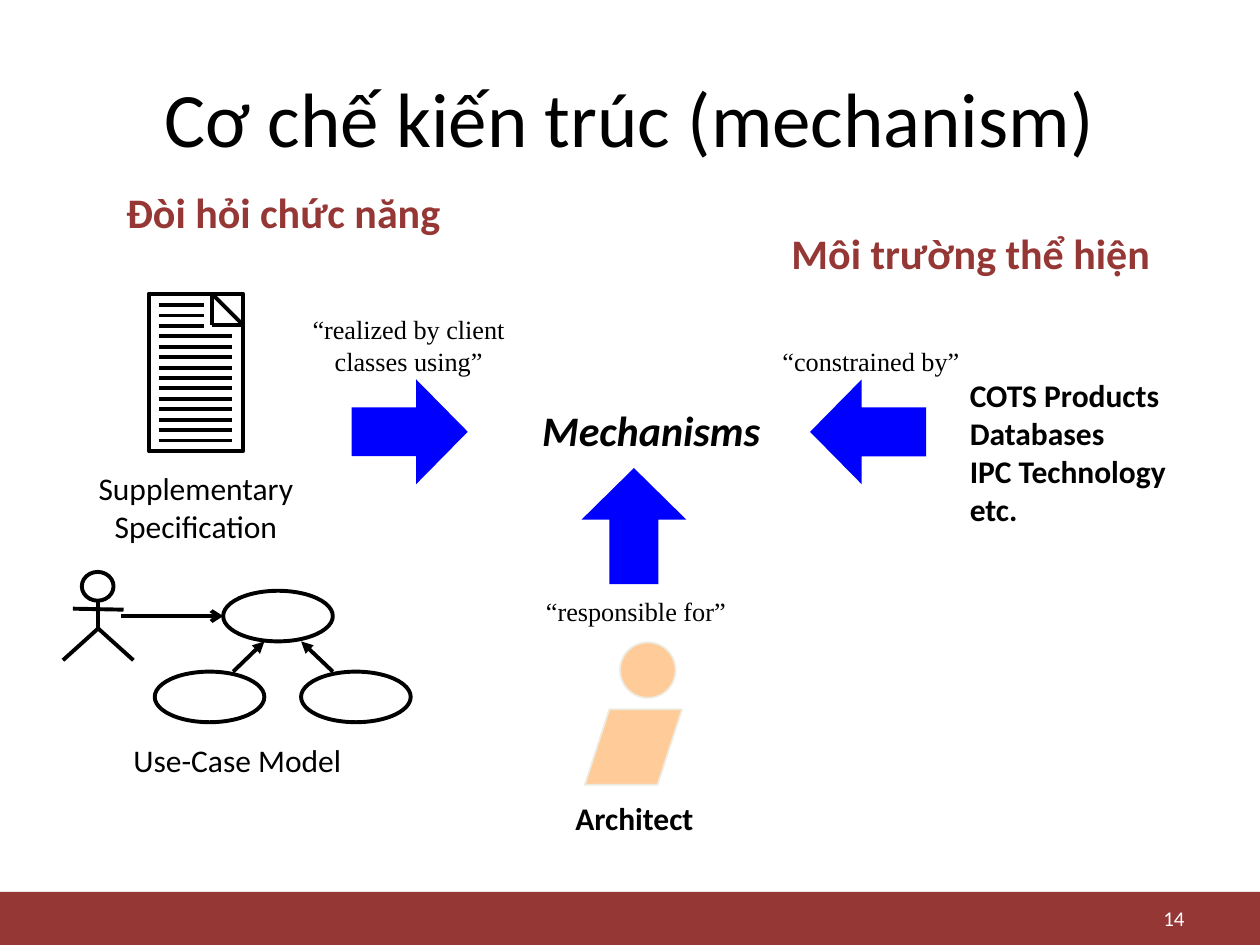
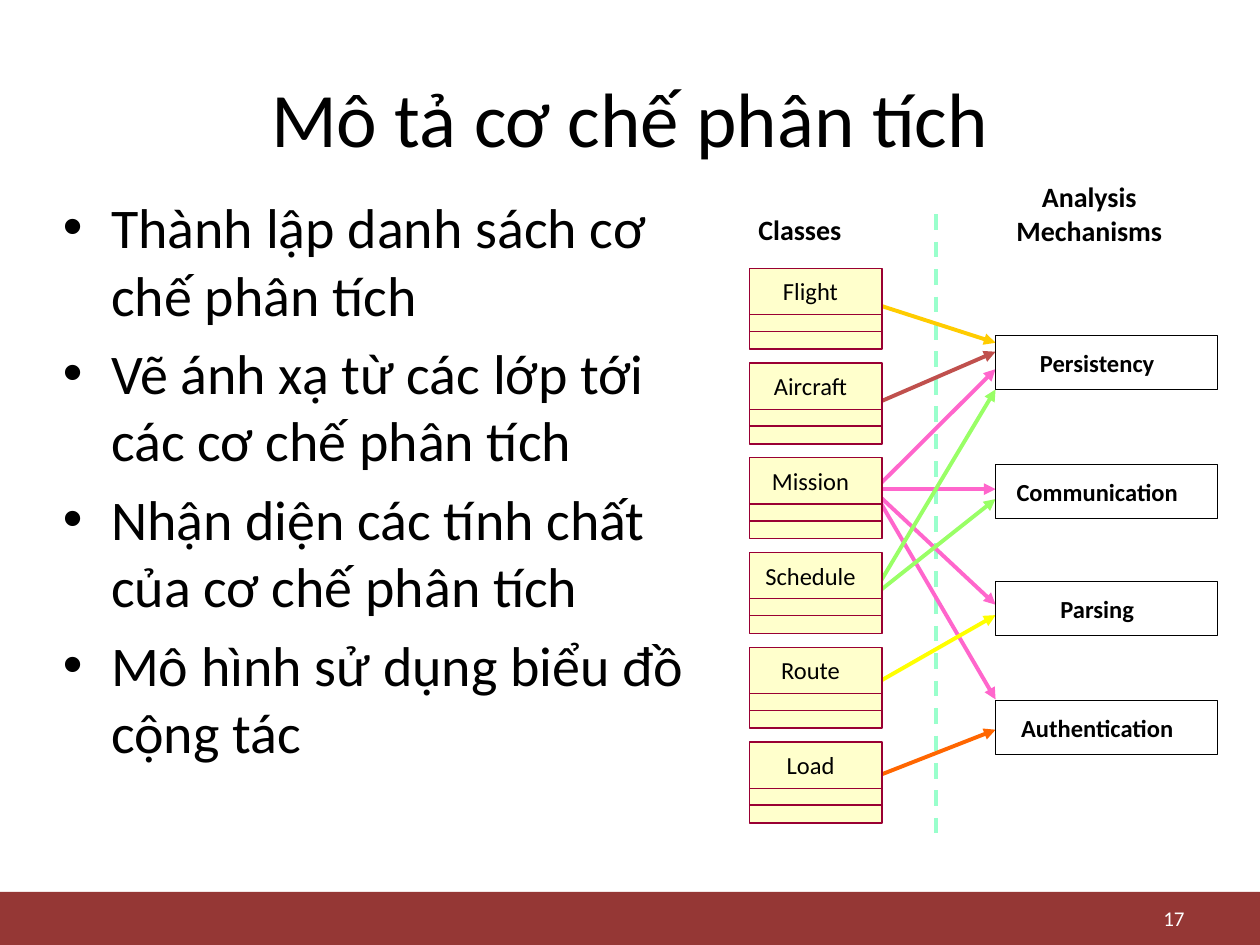
from itertools import combinations

from lxml import etree
from pptx import Presentation
from pptx.dml.color import RGBColor
from pptx.enum import dml, shapes, text
from pptx.oxml import ns
from pptx.util import Cm, Pt

COLOURS = {
    "brand": "953735", "black": "000000", "white": "FFFFFF",
    "arrow": "0000FF", "skin": "FFCC99", "skin_edge": "EEECE1",
    "class": "FFFFCC", "class_edge": "990033", "divider": "99FFCC",
    "amber": "FFCC00", "red": "C0504D", "pink": "FF66CC",
    "green": "99FF66", "yellow": "FFFF00", "orange": "FF6600",
}
FONT = "Calibri"
QUOTE_FONT = "Times New Roman"
LINE_WIDTH = 2.25
THIN = 0.75
CAPTION_INSET = (0.1, 0.13)
KIND = shapes.MSO_SHAPE
ALIGN = text.PP_ALIGN
TITLE_ONLY = 5

# Class name -> its links: (start y, end y, colour), in cm
CLASS_LINKS = {
    "Flight": [(6.12, 6.91, "amber")],
    "Aircraft": [(8.15, 7.09, "red")],
    "Mission": [(9.91, 14.1, "pink"), (9.88, 7.44, "pink"),
                (9.86, 9.86, "pink"), (9.9, 12.19, "pink")],
    "Schedule": [(12.0, 10.06, "green"), (11.94, 7.85, "green")],
    "Route": [(13.8, 12.4, "yellow")],
    "Load": [(15.67, 14.71, "orange")],
}
MECHANISM_TOPS = {"Persistency": 6.76, "Communication": 9.37,
                  "Parsing": 11.73, "Authentication": 14.12}
STEPS = [
    "Thành lập danh sách cơ chế phân tích",
    "Vẽ ánh xạ từ các lớp tới các cơ chế phân tích",
    "Nhận diện các tính chất của cơ chế phân tích",
    "Mô hình sử dụng biểu đồ cộng tác",
]


def rgb(name):
    return RGBColor.from_string(COLOURS[name])


def set_font(paragraph, size, colour="black", bold=False, italic=False, name=FONT):
    font = paragraph.font
    font.name, font.size, font.bold, font.italic = name, Pt(size), bold, italic
    font.color.rgb = rgb(colour)


def paint(shape, fill=None, line=None, width=LINE_WIDTH):
    shape.shadow.inherit = False
    if fill:
        shape.fill.solid()
        shape.fill.fore_color.rgb = rgb(fill)
    else:
        shape.fill.background()
    if line:
        shape.line.color.rgb = rgb(line)
        shape.line.width = Pt(width)
    else:
        shape.line.fill.background()


def add_box(parent, kind, at, fill=None, line=None, width=LINE_WIDTH, adjust=()):
    box = parent.add_shape(kind, *map(Cm, at))
    for index, value in enumerate(adjust):
        box.adjustments[index] = value
    paint(box, fill, line, width)
    return box


def add_line(parent, start, end, colour="black", width=LINE_WIDTH, head=None):
    line = parent.add_connector(shapes.MSO_CONNECTOR.STRAIGHT, *map(Cm, start + end))
    line.line.color.rgb = rgb(colour)
    line.line.width = Pt(width)
    if head:
        etree.SubElement(line.line._get_or_add_ln(), ns.qn("a:tailEnd"), type=head)
    etree.SubElement(line.element.spPr, ns.qn("a:effectLst"))
    return line


def add_text(parent, at, lines, size, align=ALIGN.CENTER, inset=(0.3, 0.15), **font):
    box = parent.add_textbox(*map(Cm, at))
    frame = box.text_frame
    frame.word_wrap = True
    frame.margin_left = frame.margin_right = Cm(inset[0])
    frame.margin_top = frame.margin_bottom = Cm(inset[1])
    for index, line in enumerate(lines):
        paragraph = frame.add_paragraph() if index else frame.paragraphs[0]
        paragraph.text = line
        paragraph.alignment = align
        set_font(paragraph, size, **font)
    return box


def add_bullet(paragraph, indent):
    properties = paragraph._p.get_or_add_pPr()
    properties.set("marL", str(Cm(indent)))
    properties.set("indent", str(-Cm(indent)))
    for tag, key, value in (("buFont", "typeface", "Arial"), ("buChar", "char", "•")):
        mark = etree.Element(ns.qn(f"a:{tag}"), {key: value})
        properties.insert_element_before(mark, "a:defRPr")


def add_band(layout, page):
    """Draw the bottom band once and hand it to the layout the pages share."""
    band = add_box(page.shapes, KIND.RECTANGLE, (0, 17.98, 25.4, 1.07), "brand")
    layout.shapes.element.insert(2, band.element)


def add_page(deck, title, number):
    page = deck.slides.add_slide(deck.slide_layouts[TITLE_ONLY])
    box = page.shapes.title
    box.left, box.top, box.width, box.height = map(Cm, (1.27, 0.76, 22.86, 3.18))
    frame = box.text_frame
    frame.text = title
    frame.vertical_anchor = text.MSO_ANCHOR.MIDDLE
    frame.paragraphs[0].alignment = ALIGN.CENTER
    set_font(frame.paragraphs[0], 44)
    footer = add_text(page.shapes, (18.21, 18.16, 5.92, 0.69), [number], 12,
                      ALIGN.RIGHT, (0.25, 0.13), colour="white")
    footer.text_frame.vertical_anchor = text.MSO_ANCHOR.MIDDLE
    return page


def add_architect(page):
    group = page.shapes.add_group_shape().shapes
    add_text(group, (11.33, 15.98, 2.92, 1.02), ["Architect"], 18,
             inset=CAPTION_INSET, bold=True)
    add_box(group, KIND.OVAL, (12.5, 12.95, 1.12, 1.12), "skin", "skin_edge", 1)
    add_box(group, KIND.PARALLELOGRAM, (11.79, 14.3, 1.96, 1.52),
            "skin", "skin_edge", 1, [0.325])


def add_specification(page):
    group = page.shapes.add_group_shape().shapes
    add_box(group, KIND.RECTANGLE, (3, 5.92, 1.9, 3.18), line="black")
    fold = [(4.27, 5.92), (4.9, 6.55), (4.27, 6.55)]
    for start, end in combinations(fold, 2):
        add_line(group, start, end)
    for row in range(14):
        y = 6.15 + 0.21 * row
        add_line(group, (3.2, y), (4.11 if row < 3 else 4.67, y))
    add_text(group, (1.7, 9.32, 4.5, 1.8), ["Supplementary", "Specification"], 18,
             inset=CAPTION_INSET)


def add_use_case_model(page):
    group = page.shapes.add_group_shape().shapes
    add_box(group, KIND.OVAL, (1.65, 11.53, 0.64, 0.58), line="black")
    add_line(group, (1.98, 12.12), (1.98, 12.67))
    add_line(group, (1.47, 12.27), (2.49, 12.29))
    legs = group.build_freeform(Cm(1.27), Cm(13.31))
    legs.add_line_segments([(Cm(1.98), Cm(12.67)), (Cm(2.69), Cm(13.31))], close=False)
    paint(legs.convert_to_shape(), line="black")
    for left, top in ((4.5, 11.91), (3.12, 13.54), (6.07, 13.54)):
        add_box(group, KIND.OVAL, (left, top, 2.21, 1.02), line="black")
    add_line(group, (2.44, 12.42), (4.5, 12.42), head="arrow")
    add_line(group, (4.7, 13.54), (5.33, 12.93), head="triangle")
    add_line(group, (6.71, 13.54), (6.07, 12.93), head="triangle")
    add_text(group, (2.41, 14.81, 4.75, 1.02), ["Use-Case Model"], 18,
             inset=CAPTION_INSET)


def add_class(page, name, top):
    left = 15.11
    group = page.shapes.add_group_shape().shapes
    add_box(group, KIND.RECTANGLE, (left, top, 2.67, 1.63), "class", "class_edge", THIN)
    for offset in (0.93, 1.27):
        y = top + offset
        add_line(group, (left, y), (left + 2.65, y), "class_edge", THIN)
    add_text(page.shapes, (left, top + 0.16, 2.46, 0.61), [name], 14, inset=(0, 0))


def add_mechanism(page, name, top):
    left = 20.07
    add_box(page.shapes, KIND.RECTANGLE, (left, top, 4.47, 1.09),
            line="black", width=THIN)
    add_text(page.shapes, (left, top + 0.1, 4.1, 0.89), [name], 14, bold=True)


def fill_mechanism_page(page):
    add_architect(page)
    add_specification(page)
    add_use_case_model(page)
    for left, top, turn in ((7.09, 7.65, 0), (16.33, 7.65, 180), (11.61, 9.55, 270)):
        arrow = add_box(page.shapes, KIND.RIGHT_ARROW, (left, top, 2.34, 2.11),
                        "arrow", adjust=[0.467, 0.492])
        arrow.rotation = turn
    add_text(page.shapes, (9.32, 8, 7.62, 1.32), ["Mechanisms"], 24,
             bold=True, italic=True)
    add_text(page.shapes, (19.25, 7.44, 6.15, 3.35),
             ["COTS Products\nDatabases\nIPC Technology\netc."], 18,
             ALIGN.LEFT, bold=True)
    for quote, left, top, height in (
            ("“realized by client classes using”", 5.28, 6.17, 1.57),
            ("“responsible for”", 9.86, 11.86, 0.94),
            ("“constrained by”", 14.6, 6.81, 0.94)):
        add_text(page.shapes, (left, top, 5.92, height), [quote], 15, name=QUOTE_FONT)
    for heading, left, top, width in (("Đòi hỏi chức năng", 1.9, 3.61, 7.62),
                                      ("Môi trường thể hiện", 15.44, 4.44, 8.26)):
        add_text(page.shapes, (left, top, width, 1.32), [heading], 24,
                 colour="brand", bold=True)


def fill_analysis_page(page):
    add_text(page.shapes, (14.99, 4.14, 2.9, 0.99), ["Classes"], 16,
             ALIGN.LEFT, bold=True)
    add_text(page.shapes, (19.79, 3.48, 4.34, 1.65), ["Analysis Mechanisms"], 16,
             bold=True)
    divider = add_line(page.shapes, (18.87, 4.32), (18.87, 17.02), "divider")
    divider.line.dash_style = dml.MSO_LINE.DASH
    for links in CLASS_LINKS.values():
        for start, end, colour in links:
            add_line(page.shapes, (17.62, start), (20.07, end), colour, head="triangle")
    for name, top in MECHANISM_TOPS.items():
        add_mechanism(page, name, top)
    for row, name in enumerate(CLASS_LINKS):
        add_class(page, name, 5.41 + 1.91 * row)
    body = add_text(page.shapes, (1.02, 3.76, 13.56, 14.02), STEPS, 32,
                    ALIGN.LEFT, (0.25, 0.13))
    for paragraph in body.text_frame.paragraphs:
        paragraph.space_before = Pt(6.5)
        add_bullet(paragraph, 0.97)


def main():
    deck = Presentation()
    deck.slide_width, deck.slide_height = Cm(25.4), Cm(19.05)
    mechanism_page = add_page(deck, "Cơ chế kiến trúc (mechanism)", "14")
    add_band(mechanism_page.slide_layout, mechanism_page)
    fill_mechanism_page(mechanism_page)
    fill_analysis_page(add_page(deck, "Mô tả cơ chế phân tích", "17"))
    deck.save("out.pptx")


if __name__ == "__main__":
    main()
